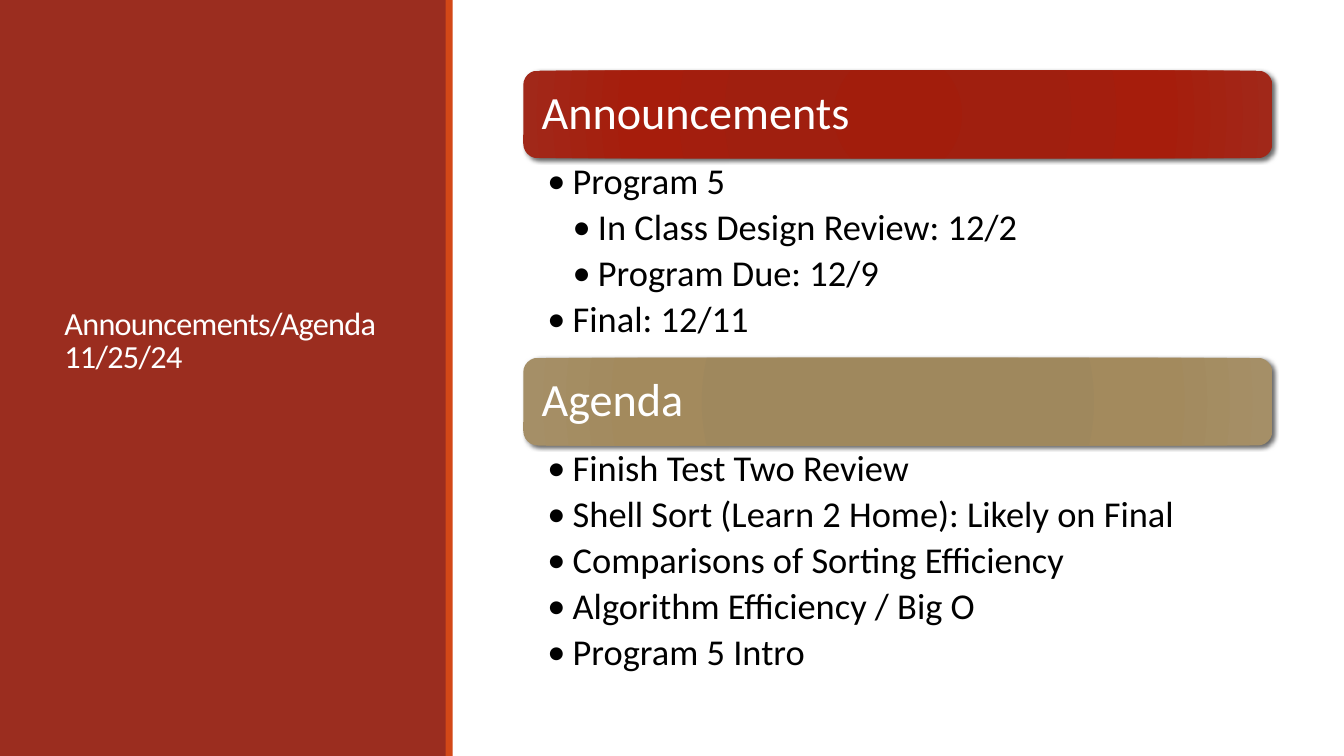
from dataclasses import dataclass

from lxml import etree
from pptx import Presentation
from pptx import util as u
from pptx.dml.color import RGBColor
from pptx.enum import shapes, text
from pptx.oxml import parse_xml
from pptx.oxml.ns import nsdecls, qn


@dataclass(frozen=True)
class Theme:
    font: str = "Calibri"
    panel: str = "9B2D1F"
    accent: str = "D34817"
    light: str = "FFFFFF"
    dark: str = "000000"
    red: tuple = ("A21D0C", "A01F0F", "A61D0C", "A12819")
    tan: tuple = ("9F875B", "9F885D", "A38A5D", "A58F67")
    stops: tuple = (0, 34, 70, 100)
    title_size: int = 23
    header_size: int = 33
    item_size: int = 26


T = Theme()
HEADER_HEIGHT = 0.87

# Each section: heading, gradient, body height, (level, item) pairs
SECTIONS = [
    ("Announcements", T.red, 1.98, [
        (1, "Program 5"),
        (2, "In Class Design Review: 12/2"),
        (2, "Program Due: 12/9"),
        (1, "Final: 12/11"),
    ]),
    ("Agenda", T.tan, 2.47, [
        (1, "Finish Test Two Review"),
        (1, "Shell Sort (Learn 2 Home): Likely on Final"),
        (1, "Comparisons of Sorting Efficiency"),
        (1, "Algorithm Efficiency / Big O"),
        (1, "Program 5 Intro"),
    ]),
]


def box(left, top, width, height):
    return [u.Inches(v) for v in (left, top, width, height)]


def set_frame(tf, anchor, left, top, right, bottom):
    tf.word_wrap = True
    tf.vertical_anchor = anchor
    tf.margin_left, tf.margin_top = u.Inches(left), u.Inches(top)
    tf.margin_right, tf.margin_bottom = u.Inches(right), u.Inches(bottom)


def add_run(p, words, size, color):
    r = p.add_run()
    r.text = words
    r.font.name, r.font.size = T.font, u.Pt(size)
    r.font.color.rgb = RGBColor.from_string(color)
    return r


def add_bar(s, area, color):
    sp = s.shapes.add_shape(shapes.MSO_SHAPE.RECTANGLE, *box(*area))
    sp.shadow.inherit = False
    sp.fill.solid()
    sp.fill.fore_color.rgb = RGBColor.from_string(color)
    sp.line.fill.background()


def add_glow(sp, colors):
    """Circular gradient fill and a soft shadow to the lower right."""
    stops = "".join(
        f'<a:gs pos="{pos * 1000}"><a:srgbClr val="{color}"/></a:gs>'
        for pos, color in zip(T.stops, colors))
    gradient = parse_xml(
        f'<a:gradFill {nsdecls("a")} rotWithShape="1"><a:gsLst>{stops}</a:gsLst>'
        '<a:path path="circle"><a:fillToRect l="100000" t="100000" '
        'r="100000" b="100000"/></a:path></a:gradFill>')
    shadow = parse_xml(
        f'<a:outerShdw {nsdecls("a")} blurRad="{u.Pt(3)}" dist="{u.Pt(2)}" '
        f'dir="2700000" rotWithShape="0"><a:srgbClr val="{T.dark}">'
        '<a:alpha val="60000"/></a:srgbClr></a:outerShdw>')
    sp.fill.background()
    sp.line.fill.background()
    sp.shadow.inherit = False
    props = sp._element.spPr
    props.replace(props.find(qn("a:noFill")), gradient)
    props.find(qn("a:effectLst")).append(shadow)


def add_bullet(p, level):
    props = p._p.get_or_add_pPr()
    props.set("marL", str(u.Inches(0.25 * level)))
    props.set("indent", str(u.Inches(-0.25)))
    etree.SubElement(props, qn("a:buFont")).set("typeface", T.font)
    etree.SubElement(props, qn("a:buChar")).set("char", "•")


def title_panel(s, left, top, width, height):
    add_bar(s, (left, top, width, height), T.panel)
    add_bar(s, (left + width - 0.01, top, 0.07, height), T.accent)
    sp = s.shapes.add_textbox(*box(left + 0.54, top + 0.57, 3.37, 5.65))
    tf = sp.text_frame
    set_frame(tf, text.MSO_ANCHOR.MIDDLE, 0.1, 0.05, 0.1, 0.05)
    p = tf.paragraphs[0]
    p.line_spacing = 0.85
    for i, line in enumerate(("Announcements/Agenda", "11/25/24")):
        if i:
            p.add_line_break()
        r = add_run(p, line, T.title_size, T.light)
        r.font._element.set("spc", "-50")


def section(s, left, top, width, height, heading, colors, items):
    # Heading bar
    sp = s.shapes.add_shape(shapes.MSO_SHAPE.ROUNDED_RECTANGLE,
                            *box(left, top, width, HEADER_HEIGHT))
    add_glow(sp, colors)
    set_frame(sp.text_frame, text.MSO_ANCHOR.MIDDLE, 0.14, 0.1, 0.14, 0.1)
    p = sp.text_frame.paragraphs[0]
    p.alignment = text.PP_ALIGN.LEFT
    p.line_spacing = 0.9
    add_run(p, heading, T.header_size, T.light)

    # Bulleted items
    sp = s.shapes.add_textbox(
        *box(left, top + HEADER_HEIGHT, width, height - HEADER_HEIGHT))
    tf = sp.text_frame
    set_frame(tf, text.MSO_ANCHOR.TOP, 0.24, 0.05, 0.26, 0.05)
    for i, (level, item) in enumerate(items):
        p = tf.add_paragraph() if i else tf.paragraphs[0]
        p.level = level
        p.line_spacing = 0.9
        p.space_before, p.space_after = u.Pt(0), u.Pt(4.8)
        add_bullet(p, level)
        add_run(p, item, T.item_size, T.dark)


def section_list(s, left, top, width):
    for heading, colors, body_height, items in SECTIONS:
        height = HEADER_HEIGHT + body_height
        section(s, left, top, width, height, heading, colors, items)
        top += height


def main():
    prs = Presentation()
    prs.slide_width, prs.slide_height = u.Inches(13.33), u.Inches(7.5)
    s = prs.slides.add_slide(prs.slide_layouts[6])
    title_panel(s, 0, 0, 4.43, 7.5)
    section_list(s, 5.19, 0.7, 7.43)
    prs.save("out.pptx")


if __name__ == "__main__":
    main()
